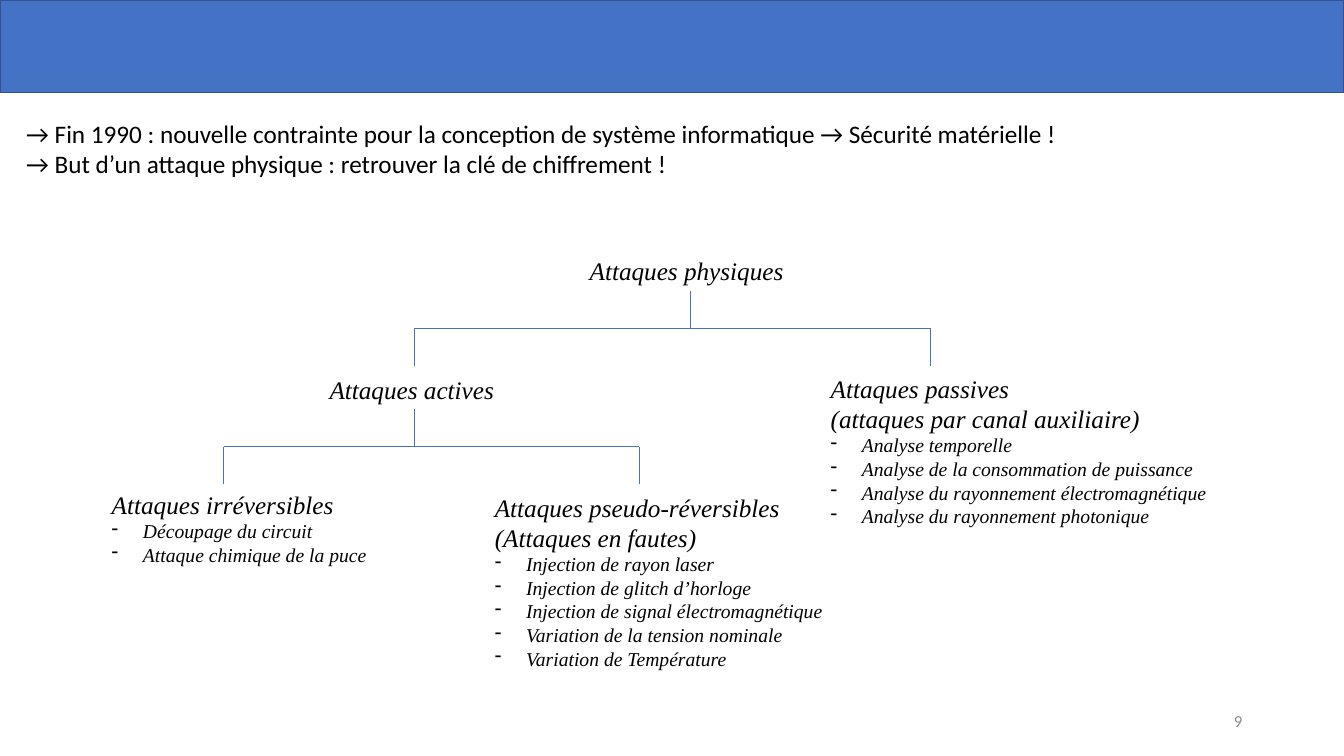
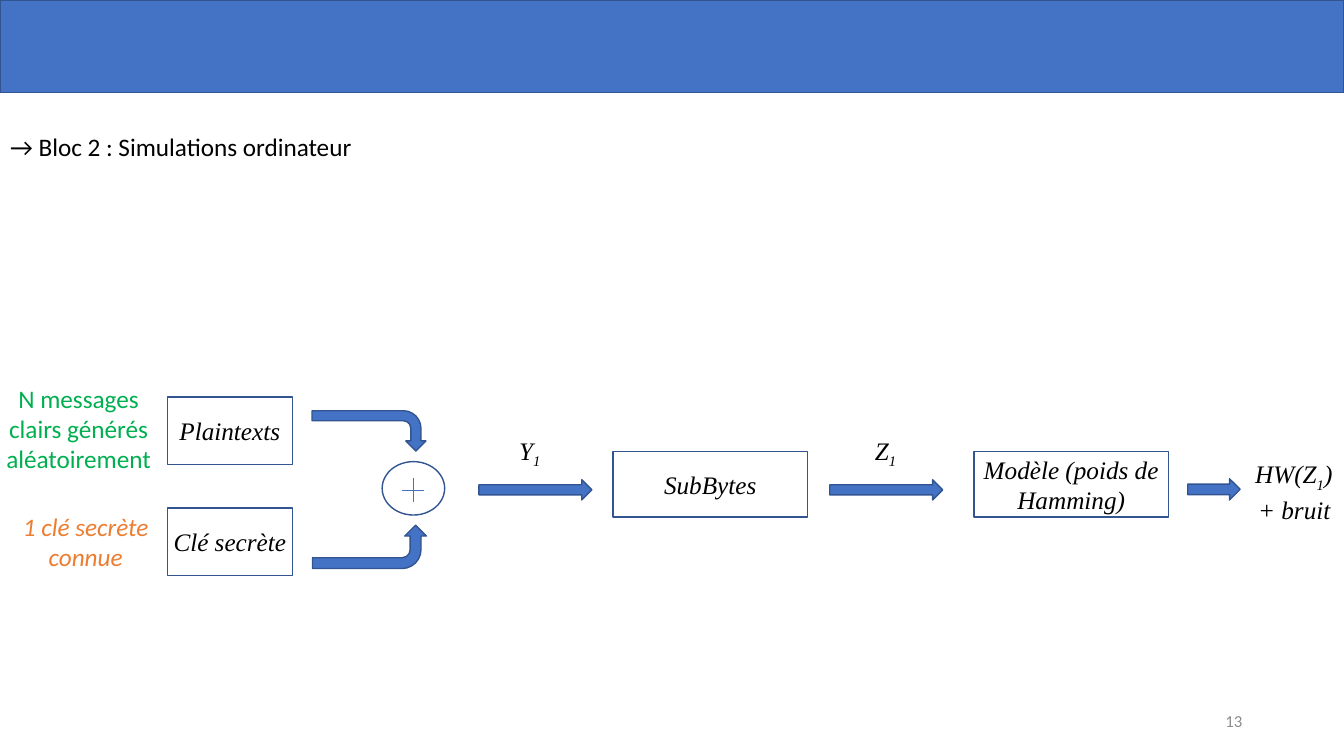
"""Builds two slides: a tree of physical attacks and a computer simulation chain."""
from lxml import etree
from pptx import Presentation
from pptx import util as u
from pptx.dml.color import RGBColor
from pptx.enum import shapes, text
from pptx.oxml.ns import qn

Inches, Pt = u.Inches, u.Pt
COLORS = {"blue": "4472C4", "outline": "325491", "text": "000000",
          "number": "8C8C8C", "green": "00B050", "orange": "ED7D31"}
SANS, SERIF = "Calibri", "Times New Roman"
WIDTH, HEIGHT = 13.33, 7.5
BAND_HEIGHT = 0.92
NUMBER_AT = (9.42, 6.95, 3, 0.4)
INDENT = 0.31
DROP = 0.37

ATTACKS = {
    "number": "9", "intro_at": (0.16, 1.12, 12.5, 0.71),
    "intro": ["→ Fin 1990 : nouvelle contrainte pour la conception de système"
              " informatique → Sécurité matérielle !",
              "→ But d’un attaque physique : retrouver la clé de chiffrement !"]}
FAMILIES = [
    ((5.75, 2.48, 2.19, 0.4), ["Attaques physiques"], []),
    ((3.17, 3.66, 1.85, 0.4), ["Attaques actives"], []),
    ((8.14, 3.65, 4.01, 1.95), ["Attaques passives", "(attaques par canal auxiliaire)"],
     ["Analyse temporelle", "Analyse de la consommation de puissance",
      "Analyse du rayonnement électromagnétique", "Analyse du rayonnement photonique"]),
    ((1.01, 4.8, 2.75, 0.88), ["Attaques irréversibles"],
     ["Découpage du circuit", "Attaque chimique de la puce"]),
    ((4.81, 4.83, 3.53, 2.19), ["Attaques pseudo-réversibles", "(Attaques en fautes)"],
     ["Injection de rayon laser", "Injection de glitch d’horloge",
      "Injection de signal électromagnétique", "Variation de la tension nominale",
      "Variation de Température"]),
]
FORKS = [(6.85, 2.89, (4.11, 9.23)), (4.11, 4.06, (2.22, 6.34))]

SIMULATION = {"number": "13", "intro_at": (0, 1.25, 12.5, 0.4),
              "intro": ["→ Bloc 2 : Simulations ordinateur"]}
BLOCKS = [
    ((1.66, 3.94, 1.24, 0.67), "Plaintexts"),
    ((1.66, 5.04, 1.24, 0.67), "Clé secrète"),
    ((6.08, 4.48, 1.93, 0.65), "SubBytes"),
    ((9.66, 4.48, 1.93, 0.65), "Modèle (poids de Hamming)"),
]
NOTES = [
    ((0.03, 3.8, 1.5, 0.91), "N messages clairs générés aléatoirement", "green", False),
    ((0.11, 5.07, 1.48, 0.61), "1 clé secrète connue", "orange", True),
]
SIGNALS = [
    ((5.05, 4.27, 0.43, 0.4), ("Y", "1", "")),
    ((8.58, 4.27, 0.44, 0.4), ("Z", "1", "")),
    ((12.35, 4.5, 0.99, 0.4), ("HW(Z", "1", ")")),
    ((12.38, 4.85, 0.93, 0.4), ("+ bruit", "", "")),
]
ARROWS = [(4.75, 4.76, 1.12, 0.2), (8.23, 4.76, 1.12, 0.2), (11.78, 4.75, 0.52, 0.21)]
BENDS = [((3.46, 3.71, 0.4, 1.13), False), ((3.45, 4.86, 0.43, 1.13), True)]
XOR_AT = (3.79, 4.58, 0.62, 0.53)
XOR_CENTRE, XOR_ARMS = (4.1, 4.86), ((0, 0.12), (0.11, 0))


def inches(box):
    return [Inches(side) for side in box]


def color(name):
    return RGBColor.from_string(COLORS[name])


def add_run(paragraph, words, font=SERIF, size=18, tint="text", italic=True):
    run = paragraph.add_run()
    run.text = words
    run.font.name, run.font.size, run.font.italic = font, Pt(size), italic
    run.font.color.rgb = color(tint)
    return run


def next_paragraph(frame):
    first = frame.paragraphs[0]
    return first if not first.runs else frame.add_paragraph()


def add_text(slide, box, wrap=False):
    frame = slide.shapes.add_textbox(*inches(box)).text_frame
    frame.word_wrap = wrap
    return frame


def no_margins(frame):
    frame.margin_left = frame.margin_right = frame.margin_top = frame.margin_bottom = 0


def add_form(slide, kind, box, fill=None):
    form = slide.shapes.add_shape(kind, *inches(box))
    form.shadow.inherit = False
    if fill:
        form.fill.solid()
        form.fill.fore_color.rgb = color(fill)
    else:
        form.fill.background()
    form.line.color.rgb = color("outline")
    form.line.width = Pt(1)
    return form


def add_line(slide, start, end):
    line = slide.shapes.add_connector(
        shapes.MSO_CONNECTOR.STRAIGHT, *inches(start), *inches(end))
    line.line.color.rgb = color("blue")
    line.line.width = Pt(0.5)
    etree.SubElement(line._element.spPr, qn("a:effectLst"))


def set_bullet(paragraph, mark=None):
    props = paragraph._p.get_or_add_pPr()
    indent = Inches(INDENT) if mark else 0
    props.set("marL", str(indent))
    props.set("indent", str(-indent))
    bullet = etree.SubElement(props, qn("a:buChar" if mark else "a:buNone"))
    if mark:
        bullet.set("char", mark)


def add_page(deck, page):
    slide = deck.slides.add_slide(deck.slide_layouts[1])
    title = slide.shapes.title._element
    title.getparent().remove(title)
    add_form(slide, shapes.MSO_SHAPE.RECTANGLE, (0, 0, WIDTH, BAND_HEIGHT), "blue")
    intro = slide.placeholders[1]
    intro.left, intro.top, intro.width, intro.height = inches(page["intro_at"])
    intro.text_frame.auto_size = text.MSO_AUTO_SIZE.NONE
    for sentence in page["intro"]:
        paragraph = next_paragraph(intro.text_frame)
        paragraph.space_before = Pt(0)
        set_bullet(paragraph)
        add_run(paragraph, sentence, SANS, italic=False)
    number = add_text(slide, NUMBER_AT, True)
    number.vertical_anchor = text.MSO_ANCHOR.MIDDLE
    number.paragraphs[0].alignment = text.PP_ALIGN.RIGHT
    add_run(number.paragraphs[0], page["number"], SANS, 12, "number", False)
    return slide


def add_fork(slide, stem, top, branches):
    middle = top + DROP
    add_line(slide, (stem, top), (stem, middle))
    add_line(slide, (branches[0], middle), (branches[-1], middle))
    for branch in branches:
        add_line(slide, (branch, middle), (branch, middle + DROP))


def build_attacks(deck):
    slide = add_page(deck, ATTACKS)
    for fork in FORKS:
        add_fork(slide, *fork)
    for box, headings, examples in FAMILIES:
        frame = add_text(slide, box)
        for heading in headings:
            add_run(next_paragraph(frame), heading)
        for example in examples:
            paragraph = next_paragraph(frame)
            set_bullet(paragraph, "-")
            add_run(paragraph, example, size=14)


def build_simulation(deck):
    slide = add_page(deck, SIMULATION)
    for box, name in BLOCKS:
        frame = add_form(slide, shapes.MSO_SHAPE.RECTANGLE, box).text_frame
        frame.word_wrap = True
        no_margins(frame)
        frame.paragraphs[0].alignment = text.PP_ALIGN.CENTER
        add_run(frame.paragraphs[0], name)
    for box, remark, tint, italic in NOTES:
        frame = add_text(slide, box, True)
        no_margins(frame)
        frame.paragraphs[0].alignment = text.PP_ALIGN.CENTER
        add_run(frame.paragraphs[0], remark, SANS, tint=tint, italic=italic)
    for box, (symbol, index, closing) in SIGNALS:
        paragraph = add_text(slide, box).paragraphs[0]
        add_run(paragraph, symbol)
        if index:
            add_run(paragraph, index)._r.get_or_add_rPr().set("baseline", "-25000")
        if closing:
            add_run(paragraph, closing)
    for box in ARROWS:
        add_form(slide, shapes.MSO_SHAPE.RIGHT_ARROW, box, "blue")
    for box, flipped in BENDS:
        bend = add_form(slide, shapes.MSO_SHAPE.BENT_ARROW, box, "blue")
        bend.rotation = 90
        if flipped:
            bend._element.spPr.find(qn("a:xfrm")).set("flipH", "1")
    add_form(slide, shapes.MSO_SHAPE.OVAL, XOR_AT)
    x, y = XOR_CENTRE
    for dx, dy in XOR_ARMS:
        add_line(slide, (x - dx, y - dy), (x + dx, y + dy))


def main():
    deck = Presentation()
    deck.slide_width, deck.slide_height = Inches(WIDTH), Inches(HEIGHT)
    build_attacks(deck)
    build_simulation(deck)
    deck.save("out.pptx")


if __name__ == "__main__":
    main()
